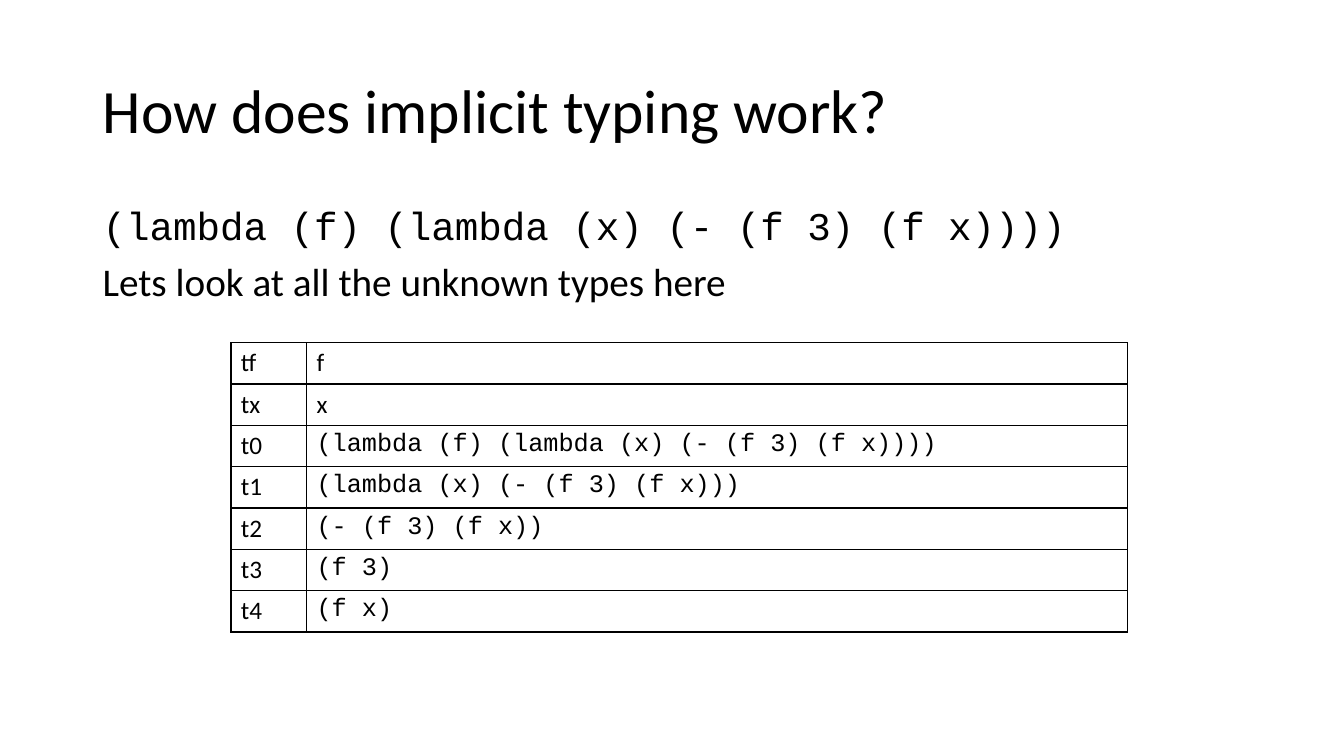
from lxml import etree
from pptx import Presentation
from pptx import util as u
from pptx.dml.color import RGBColor
from pptx.enum import text
from pptx.oxml.ns import qn

COLORS = {"ink": "000000", "paper": "FFFFFF"}
SANS, MONO = "Calibri", "Courier New"
PROGRAM = "(lambda (f) (lambda (x) (- (f 3) (f x))))"
UNKNOWN_TYPES = [
    ("tf", "f", SANS),
    ("tx", "x", SANS),
    ("t0", PROGRAM, MONO),
    ("t1", "(lambda (x) (- (f 3) (f x)))", MONO),
    ("t2", "(- (f 3) (f x))", MONO),
    ("t3", "(f 3)", MONO),
    ("t4", "(f x)", MONO),
]


class SlideBuilder:
    def __init__(self, slide):
        self.slide = slide
        background = slide.background.fill
        background.solid()
        background.fore_color.rgb = RGBColor.from_string(COLORS["paper"])

    def add_words(self, paragraph, words, size, font, **layout):
        run = paragraph.add_run()
        run.text = words
        run.font.size, run.font.name = u.Pt(size), font
        run.font.color.rgb = RGBColor.from_string(COLORS["ink"])
        for name, value in layout.items():
            setattr(paragraph, name, value)

    def text_box(self, bounds, lines, size, anchor):
        """Add a box with one paragraph for each (words, font) pair."""
        box = self.slide.shapes.add_textbox(*map(u.Inches, bounds))
        frame = box.text_frame
        frame.word_wrap, frame.vertical_anchor = True, anchor
        for i, (words, font) in enumerate(lines):
            paragraph = frame.add_paragraph() if i else frame.paragraphs[0]
            self.add_words(paragraph, words, size, font, line_spacing=0.9,
                           space_before=u.Pt(10 if i else 0))

    def border(self, cell):
        properties = cell._tc.get_or_add_tcPr()
        for i, side in enumerate(("a:lnL", "a:lnR", "a:lnT", "a:lnB")):
            line = etree.Element(qn(side), w=str(u.Pt(1)))
            fill = etree.SubElement(line, qn("a:solidFill"))
            etree.SubElement(fill, qn("a:srgbClr"), val=COLORS["ink"])
            properties.insert(i, line)

    def table(self, left, top, widths, row_height, rows, size):
        """Add a bordered table of (label, expression, expression font) rows."""
        bounds = (left, top, sum(widths), row_height * len(rows))
        grid = self.slide.shapes.add_table(
            len(rows), len(widths), *map(u.Inches, bounds)).table
        grid.first_row = grid.horz_banding = False
        for column, width in zip(grid.columns, widths):
            column.width = u.Inches(width)
        for r, (label, expression, font) in enumerate(rows):
            for c, (words, face) in enumerate([(label, SANS), (expression, font)]):
                cell = grid.cell(r, c)
                cell.fill.background()
                self.border(cell)
                self.add_words(cell.text_frame.paragraphs[0], words, size, face)


def main():
    deck = Presentation()
    deck.slide_width, deck.slide_height = u.Inches(13.33), u.Inches(7.5)
    builder = SlideBuilder(deck.slides.add_slide(deck.slide_layouts[6]))
    builder.text_box((0.92, 0.4, 11.5, 1.45),
                     [("How does implicit typing work?", SANS)],
                     44, text.MSO_ANCHOR.MIDDLE)
    builder.text_box((0.92, 2, 11.5, 4.76),
                     [(PROGRAM, MONO),
                      ("Lets look at all the unknown types here", SANS)],
                     28, text.MSO_ANCHOR.TOP)
    builder.table(2.29, 3.4, (0.75, 8.14), 0.41, UNKNOWN_TYPES, 18)
    deck.save("out.pptx")


if __name__ == "__main__":
    main()
